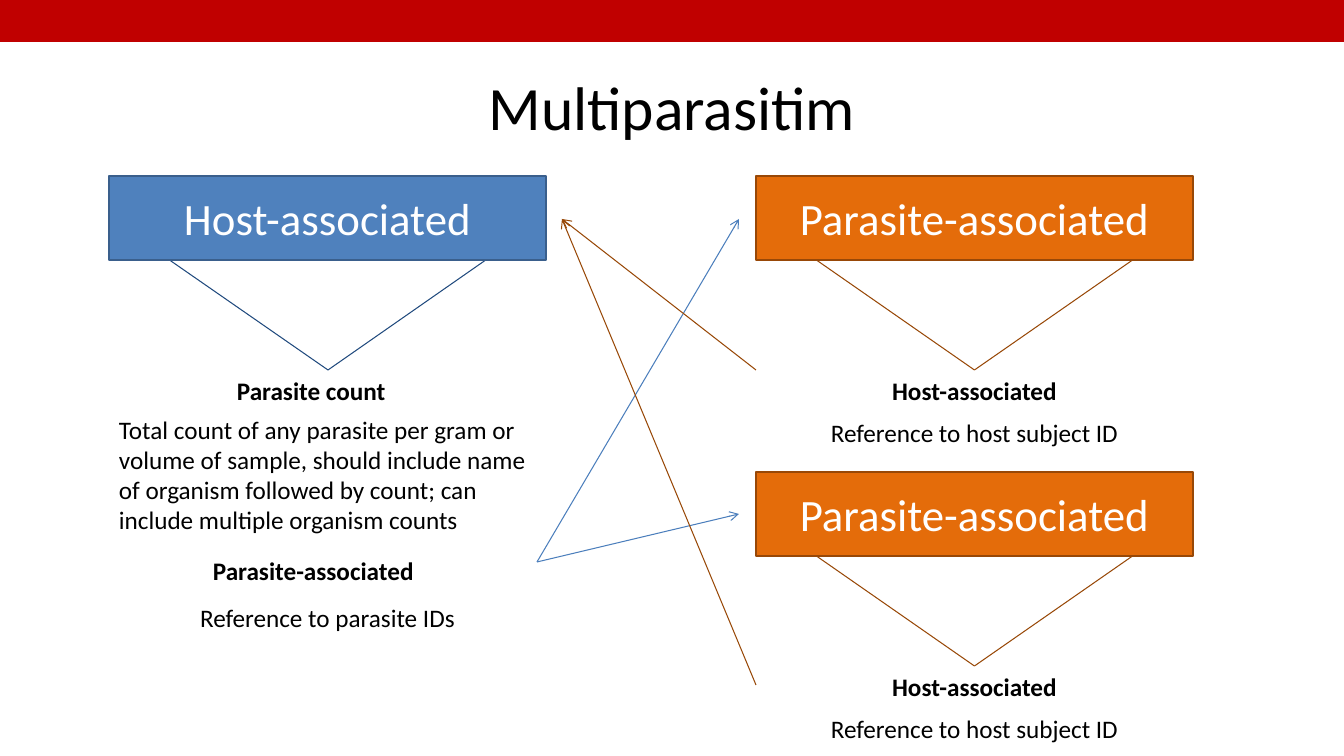
from pptx import Presentation
from pptx import util as u
from pptx.dml.color import RGBColor
from pptx.enum import shapes, text
from pptx.oxml.ns import qn
from lxml import etree

# Content: lengths in px
TITLE = "Multiparasitim"
LEFT, RIGHT = 109, 756
# Each package: name, kind, left, top, then its heading: text, left, width, centred
PACKAGES = [
    ("Parasite-associated", "parasite", RIGHT, 176, ("Host-associated", 865, 219, True)),
    ("Host-associated", "host", LEFT, 176, ("Parasite count", 227, 202, False)),
    ("Parasite-associated", "parasite", RIGHT, 472, ("Host-associated", 865, 219, True)),
]
# Each note: text, left, top, width, height, bold, centred
NOTES = [
    ("Total count of any parasite per gram or volume of sample, should include name "
     "of organism followed by count; can include multiple organism counts",
     LEFT, 409, 428, 132, False, False),
    ("Parasite-associated", 203, 550, 222, 40, True, False),
    ("Reference to parasite IDs", LEFT, 597, 437, 40, False, True),
    ("Reference to host subject ID", RIGHT, 412, 437, 40, False, True),
    ("Reference to host subject ID", RIGHT, 708, 437, 40, False, True),
]
# Each reference arrow: kind, start, end
ARROWS = [
    ("host", (537, 562), (739, 219)),
    ("host", (537, 562), (739, 514)),
    ("parasite", (756, 370), (562, 219)),
    ("parasite", (756, 685), (562, 219)),
]
SLIDE_W, SLIDE_H, BAND_H = 1344, 756, 42
BOX_W, BOX_H, HEADING_DROP, HEADING_H = 437, 84, 194, 40

THEME = {
    "font": "Calibri", "title": 44, "box": 32, "body": 18,
    "ink": "000000", "paper": "FFFFFF", "band": "C00000",
    "host": {"fill": "4F81BD", "edge": "3A5F8C", "branch": "1F497D", "arrow": "4B7EBC"},
    "parasite": {"fill": "E46C0A", "edge": "984807", "branch": "984807", "arrow": "984807"},
}


def px(length):
    return u.Emu(round(length * 914400 / 100.8))


def rgb(name):
    return RGBColor.from_string(name)


deck = Presentation()
deck.slide_width, deck.slide_height = px(SLIDE_W), px(SLIDE_H)
page = deck.slides.add_slide(deck.slide_layouts[6])


def write(shape, words, size, color, bold=False, centred=True, middle=False):
    frame = shape.text_frame
    frame.word_wrap = True
    frame.vertical_anchor = text.MSO_ANCHOR.MIDDLE if middle else text.MSO_ANCHOR.TOP
    para = frame.paragraphs[0]
    para.text = words
    para.alignment = text.PP_ALIGN.CENTER if centred else text.PP_ALIGN.LEFT
    para.font.name, para.font.size, para.font.bold = THEME["font"], u.Pt(size), bold
    para.font.color.rgb = rgb(color)


def add_text(words, left, top, width, height, size=THEME["body"], **style):
    box = page.shapes.add_textbox(*map(px, (left, top, width, height)))
    write(box, words, size, THEME["ink"], **style)
    return box


def add_rectangle(left, top, width, height, fill, edge=None):
    box = page.shapes.add_shape(shapes.MSO_SHAPE.RECTANGLE,
                                *map(px, (left, top, width, height)))
    box.shadow.inherit = False
    box.fill.solid()
    box.fill.fore_color.rgb = rgb(fill)
    if edge:
        box.line.color.rgb, box.line.width = rgb(edge), u.Pt(2)
    else:
        box.line.fill.background()
    return box


def add_line(start, end, color, arrow=False):
    line = page.shapes.add_connector(shapes.MSO_CONNECTOR.STRAIGHT, *map(px, start + end))
    line.line.color.rgb, line.line.width = rgb(color), u.Pt(0.75)
    if arrow:
        etree.SubElement(line.line._get_or_add_ln(), qn("a:tailEnd"), type="arrow")
    etree.SubElement(line._element.spPr, qn("a:effectLst"))
    return line


# Title and top band
add_text(TITLE, 67, 43, 1210, 126, THEME["title"], middle=True)
add_rectangle(0, 0, SLIDE_W, BAND_H, THEME["band"])

# Packages: two branches run behind the box from its sides down to the heading
for name, kind, left, top, (heading, head_left, head_width, centred) in PACKAGES:
    colors = THEME[kind]
    side_y, tip = top + BOX_H // 2, (left + BOX_W // 2, top + HEADING_DROP)
    branches = [(add_line((x, side_y), tip, colors["branch"]), site)
                for x, site in ((left, 1), (left + BOX_W, 3))]
    box = add_rectangle(left, top, BOX_W, BOX_H, colors["fill"], colors["edge"])
    write(box, name, THEME["box"], THEME["paper"], middle=True)
    label = add_text(heading, head_left, top + HEADING_DROP, head_width, HEADING_H,
                     bold=True, centred=centred)
    for branch, site in branches:
        branch.begin_connect(box, site)
        branch.end_connect(label, 0)

# Notes under the headings
for words, left, top, width, height, bold, centred in NOTES:
    add_text(words, left, top, width, height, bold=bold, centred=centred)

# Reference arrows between packages
for kind, start, end in ARROWS:
    add_line(start, end, THEME[kind]["arrow"], arrow=True)

deck.save("out.pptx")
